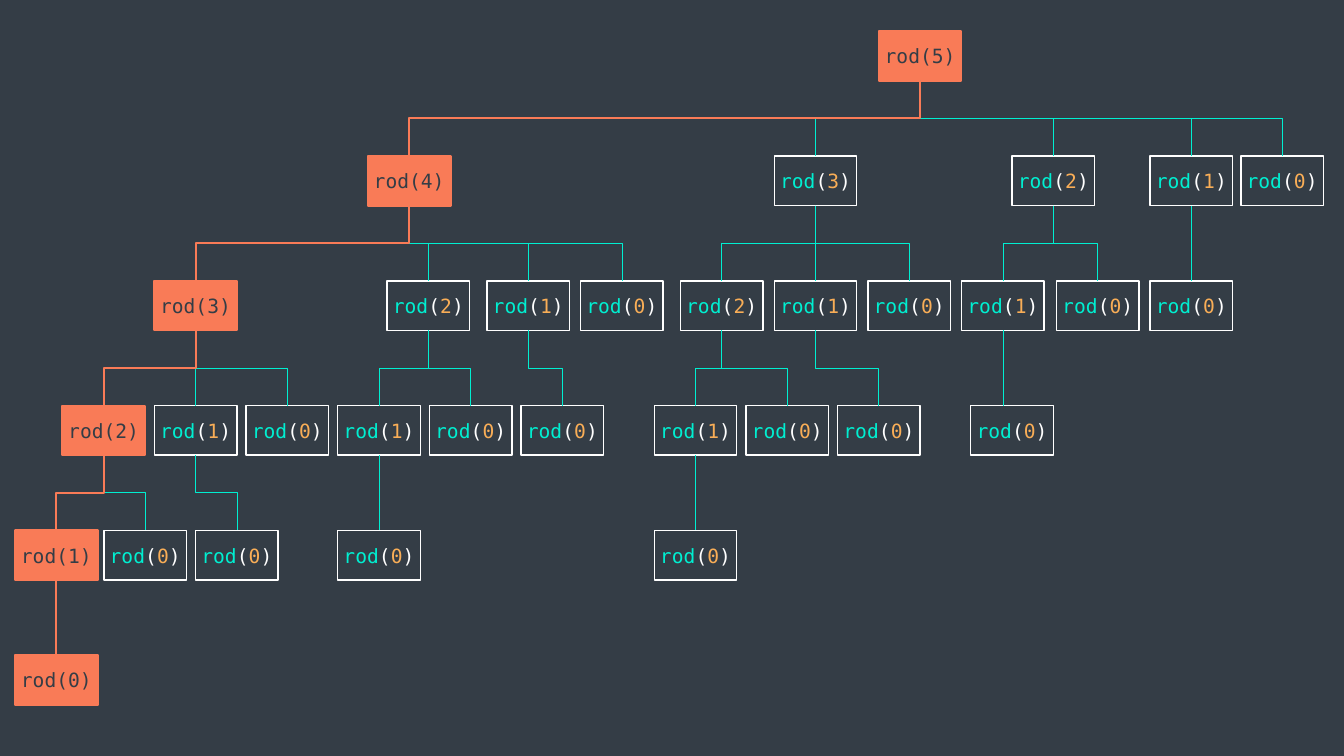
from dataclasses import dataclass, field
from typing import Iterator, Optional

from pptx import Presentation
from pptx.dml.color import RGBColor
from pptx.enum.shapes import MSO_CONNECTOR, MSO_SHAPE
from pptx.enum.text import MSO_ANCHOR, PP_ALIGN
from pptx.oxml.ns import qn
from pptx.shapes.autoshape import Shape
from pptx.util import Pt
from lxml.etree import SubElement

COLORS = {
    "background": "343D46",
    "highlight": "F97B57",
    "name": "00EFD1",
    "bracket": "FFFFFF",
    "number": "F9AE57",
    "border": "FFFFFF",
    "branch": "00EFD1",
}
FONT = {"name": "DejaVu Sans Mono", "size": Pt(14)}
FRAME = {
    "margin_left": 0, "margin_right": 0, "margin_top": 0, "margin_bottom": 0,
    "vertical_anchor": MSO_ANCHOR.MIDDLE, "word_wrap": True,
}
BOX_W, BOX_H = 59, 35.4
TOP, LEVEL_STEP = 22.3, 89.15
STRAIGHT_LIMIT = 10  # smaller sideways offsets get a vertical line

# Left edges of the calls, in the order in which they are made
LEFTS = [
    627.8,
    262.8,
    110.2, 44.6, 10.8, 10.8, 74.2, 110.2, 139.7, 175.7,
    276.5, 241.2, 241.2, 306.7,
    347.8, 372.2, 414.7,
    553, 486, 467.3, 467.3, 532.8, 553, 598.3, 619.9,
    722.9, 686.9, 693.4, 754.6,
    821.5, 821.5,
    886.3,
]


@dataclass
class Call:
    n: int
    left: float
    level: int
    hot: bool
    children: list["Call"] = field(default_factory=list)
    sp: Optional[Shape] = None

    @property
    def top(self) -> float:
        return TOP + LEVEL_STEP * self.level

    @property
    def center(self) -> float:
        return self.left + BOX_W / 2


def rgb(key: str) -> RGBColor:
    return RGBColor.from_string(COLORS[key])


def make_call(n: int, lefts: Iterator[float], level: int = 0, hot: bool = True) -> Call:
    """Build rod(n), which calls rod(n-1) to rod(0); the first branch is hot."""
    call = Call(n, next(lefts), level, hot)
    for m in reversed(range(n)):
        call.children.append(make_call(m, lefts, level + 1, hot and m == n - 1))
    return call


def walk(call: Call) -> Iterator[Call]:
    yield call
    for child in call.children:
        yield from walk(child)


def draw_box(shapes, call: Call) -> None:
    sp = shapes.add_shape(MSO_SHAPE.RECTANGLE, Pt(call.left), Pt(call.top),
                          Pt(BOX_W), Pt(BOX_H))
    sp.shadow.inherit = False
    sp.fill.solid()
    sp.fill.fore_color.rgb = rgb("highlight" if call.hot else "background")
    sp.line.color.rgb = rgb("highlight" if call.hot else "border")
    sp.line.width = Pt(1.5 if call.hot else 1)
    tf = sp.text_frame
    for key, value in FRAME.items():
        setattr(tf, key, value)
    p = tf.paragraphs[0]
    p.alignment = PP_ALIGN.CENTER
    if call.hot:
        parts = [(f"rod({call.n})", "background")]
    else:
        parts = [("rod", "name"), ("(", "bracket"),
                 (str(call.n), "number"), (")", "bracket")]
    for text, color in parts:
        r = p.add_run()
        r.text = text
        for key, value in FONT.items():
            setattr(r.font, key, value)
        r.font.color.rgb = rgb(color)
    call.sp = sp


def draw_branch(shapes, parent: Call, child: Call) -> None:
    x1, y1, x2, y2 = parent.center, parent.top + BOX_H, child.center, child.top
    dx, dy = x2 - x1, y2 - y1
    straight = abs(dx) < STRAIGHT_LIMIT
    if straight:
        x2 = x1
    kind = MSO_CONNECTOR.STRAIGHT if straight else MSO_CONNECTOR.ELBOW
    c = shapes.add_connector(kind, Pt(x1), Pt(y1), Pt(x2), Pt(y2))
    c.begin_connect(parent.sp, 2)
    if not straight or dx == 0:
        c.end_connect(child.sp, 0)
    if not straight:
        turn_elbow(c, (x1 + x2) / 2, (y1 + y2) / 2, dx, dy)
    c.line.color.rgb = rgb("highlight" if child.hot else "branch")
    c.line.width = Pt(1.5 if child.hot else 0.5)
    SubElement(c._element.spPr, qn("a:effectLst"))


def turn_elbow(c, mid_x: float, mid_y: float, dx: float, dy: float) -> None:
    """Rotate an elbow connector so that it leaves its parent downwards."""
    c.left, c.top = Pt(mid_x - dy / 2), Pt(mid_y - abs(dx) / 2)
    c.width, c.height = Pt(dy), Pt(abs(dx))
    xfrm = c._element.spPr.find(qn("a:xfrm"))
    xfrm.set("rot", str((270 if dx > 0 else 90) * 60000))
    xfrm.set("flipH", "1" if dx > 0 else "0")
    xfrm.set("flipV", "0")


def main() -> None:
    prs = Presentation()
    prs.slide_width, prs.slide_height = Pt(960), Pt(540)
    s = prs.slides.add_slide(prs.slide_layouts[6])
    s.background.fill.solid()
    s.background.fill.fore_color.rgb = rgb("background")

    calls = list(walk(make_call(5, iter(LEFTS))))
    for call in sorted(calls, key=lambda c: c.hot):
        draw_box(s.shapes, call)
    branches = [(call, child) for call in calls for child in call.children]
    for parent, child in sorted(branches, key=lambda b: b[1].hot):
        draw_branch(s.shapes, parent, child)
    prs.save("out.pptx")


if __name__ == "__main__":
    main()
